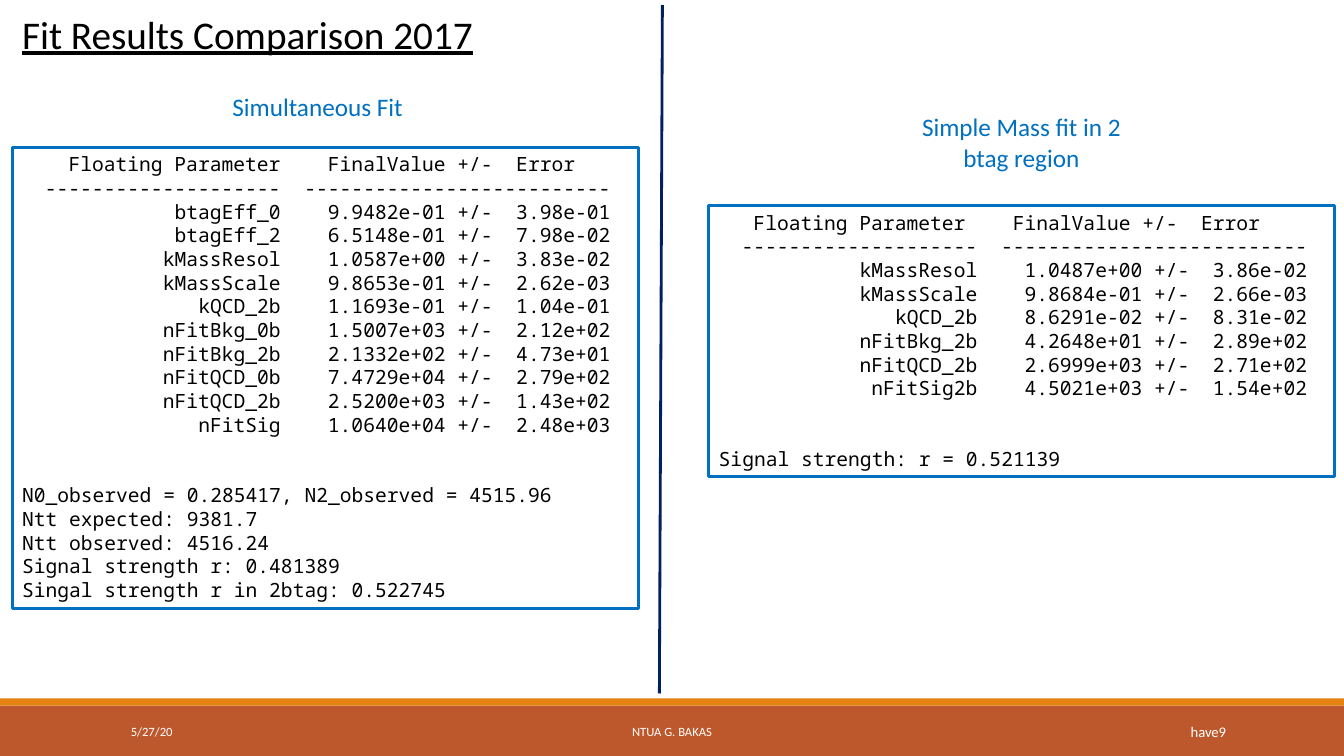
from lxml import etree
from pptx import Presentation
from pptx.dml.color import RGBColor
from pptx.enum import shapes, text
from pptx.oxml import ns
from pptx.util import Inches, Pt

COLORS = {"bar": "BD582C", "stripe": "E48312", "blue": "0070C0",
          "navy": "002060", "black": "000000", "white": "FFFFFF"}
ALIGN = {"l": text.PP_ALIGN.LEFT, "c": text.PP_ALIGN.CENTER, "r": text.PP_ALIGN.RIGHT}
MONO = "Noto Sans Mono"
CHAR = 0.1167
LINE = 16.9

SIMULTANEOUS = [
    ("btagEff_0", "9.9482e-01", "3.98e-01"),
    ("btagEff_2", "6.5148e-01", "7.98e-02"),
    ("kMassResol", "1.0587e+00", "3.83e-02"),
    ("kMassScale", "9.8653e-01", "2.62e-03"),
    ("kQCD_2b", "1.1693e-01", "1.04e-01"),
    ("nFitBkg_0b", "1.5007e+03", "2.12e+02"),
    ("nFitBkg_2b", "2.1332e+02", "4.73e+01"),
    ("nFitQCD_0b", "7.4729e+04", "2.79e+02"),
    ("nFitQCD_2b", "2.5200e+03", "1.43e+02"),
    ("nFitSig", "1.0640e+04", "2.48e+03"),
]
SIMULTANEOUS_NOTES = [
    "N0_observed = 0.285417, N2_observed = 4515.96",
    "Ntt expected: 9381.7",
    "Ntt observed: 4516.24",
    "Signal strength r: 0.481389",
    "Singal strength r in 2btag: 0.522745",
]
SIMPLE = [
    ("kMassResol", "1.0487e+00", "3.86e-02"),
    ("kMassScale", "9.8684e-01", "2.66e-03"),
    ("kQCD_2b", "8.6291e-02", "8.31e-02"),
    ("nFitBkg_2b", "4.2648e+01", "2.89e+02"),
    ("nFitQCD_2b", "2.6999e+03", "2.71e+02"),
    ("nFitSig2b", "4.5021e+03", "1.54e+02"),
]
SIMPLE_NOTES = ["Signal strength: r = 0.521139"]


def rgb(name):
    """Return the named colour."""
    return RGBColor.from_string(COLORS[name])


def write(p, words, size=14, font="Calibri", color="black", align="l", underline=None):
    """Write one formatted run into a paragraph."""
    p.alignment = ALIGN[align]
    r = p.add_run()
    r.text = words
    r.font.size = Pt(size)
    r.font.name = font
    r.font.underline = underline
    r.font.color.rgb = rgb(color)


def add_label(s, box, words, middle=False, **fmt):
    """Add a wrapped text box with one paragraph."""
    tf = s.shapes.add_textbox(*map(Inches, box)).text_frame
    tf.word_wrap = True
    if middle:
        tf.vertical_anchor = text.MSO_ANCHOR.MIDDLE
    write(tf.paragraphs[0], words, **fmt)


def add_rect(s, box, fill=None, line=None):
    """Add a plain rectangle with an optional fill and outline."""
    sp = s.shapes.add_shape(shapes.MSO_SHAPE.RECTANGLE, *map(Inches, box))
    sp.shadow.inherit = False
    if fill:
        sp.fill.solid()
        sp.fill.fore_color.rgb = rgb(fill)
    else:
        sp.fill.background()
    if line:
        sp.line.color.rgb = rgb(line)
        sp.line.width = Pt(2)
    else:
        sp.line.fill.background()
    return sp


def add_line(s, start, end, color):
    """Add a straight line without shadow."""
    c = s.shapes.add_connector(shapes.MSO_CONNECTOR.STRAIGHT, *map(Inches, start + end))
    c.line.color.rgb = rgb(color)
    c.line.width = Pt(2)
    etree.SubElement(c._element.spPr, ns.qn("a:effectLst"))


def set_tabs(p, stops):
    """Set tab stops given as character column and alignment."""
    tabs = etree.SubElement(p._p.get_or_add_pPr(), ns.qn("a:tabLst"))
    for column, algn in stops:
        etree.SubElement(tabs, ns.qn("a:tab"), pos=str(Inches(column * CHAR)), algn=algn)


def add_fit_box(s, box, rows, notes, header_end=22):
    """Add a framed fit printout with aligned columns and closing notes."""
    tf = add_rect(s, box, line="blue").text_frame
    tf.word_wrap = True
    tf.vertical_anchor = text.MSO_ANCHOR.TOP

    def columns(end):
        return [(end, "r"), (end + 4, "l"), (end + 20, "l")]

    lines = [("\tFloating Parameter\tFinalValue +/-\tError", columns(header_end)),
             ("\t" + "-" * 20 + "\t" + "-" * 26, [(22, "r"), (24, "l")])]
    lines += [(f"\t{name}\t{value} +/-\t{error}", columns(22)) for name, value, error in rows]
    lines += [(note, []) for note in notes]
    for i, (words, stops) in enumerate(lines):
        p = tf.paragraphs[0] if i == 0 else tf.add_paragraph()
        if stops:
            set_tabs(p, stops)
        p.line_spacing = Pt(LINE)
        if i == len(rows) + 2:
            p.space_before = Pt(2 * LINE)
        write(p, words, font=MONO)


def main():
    """Build the slide and save it."""
    prs = Presentation()
    prs.slide_width, prs.slide_height = Inches(13.33), Inches(7.5)
    s = prs.slides.add_slide(prs.slide_layouts[6])

    add_rect(s, (0, 7, 13.33, 0.5), fill="bar")
    add_rect(s, (0, 6.93, 13.33, 0.07), fill="stripe")
    for left, width, words, size, align in [
            (4.03, 5.27, "NTUA G. BAKAS", 9, "c"),
            (10.83, 1.43, "have9", 10.5, "r"),
            (1.2, 2.7, "5/27/20", 9, "l")]:
        add_label(s, (left, 7.06, width, 0.4), words, middle=True,
                  size=size, color="white", align=align)

    add_label(s, (0.12, 0.05, 12.89, 0.57), "Fit Results Comparison 2017",
              size=28, underline=True)
    heading = {"size": 18, "color": "blue", "align": "c"}
    add_label(s, (1.94, 0.86, 2.42, 0.4), "Simultaneous Fit", **heading)
    add_label(s, (8.92, 1.06, 2.42, 0.71), "Simple Mass fit in 2 btag region", **heading)

    add_fit_box(s, (7.03, 2.04, 6.21, 2.69), SIMPLE, SIMPLE_NOTES, header_end=21)
    add_fit_box(s, (0.12, 1.46, 6.21, 4.58), SIMULTANEOUS, SIMULTANEOUS_NOTES)
    add_line(s, (6.57, 0.05), (6.54, 6.88), "navy")
    prs.save("out.pptx")


if __name__ == "__main__":
    main()
